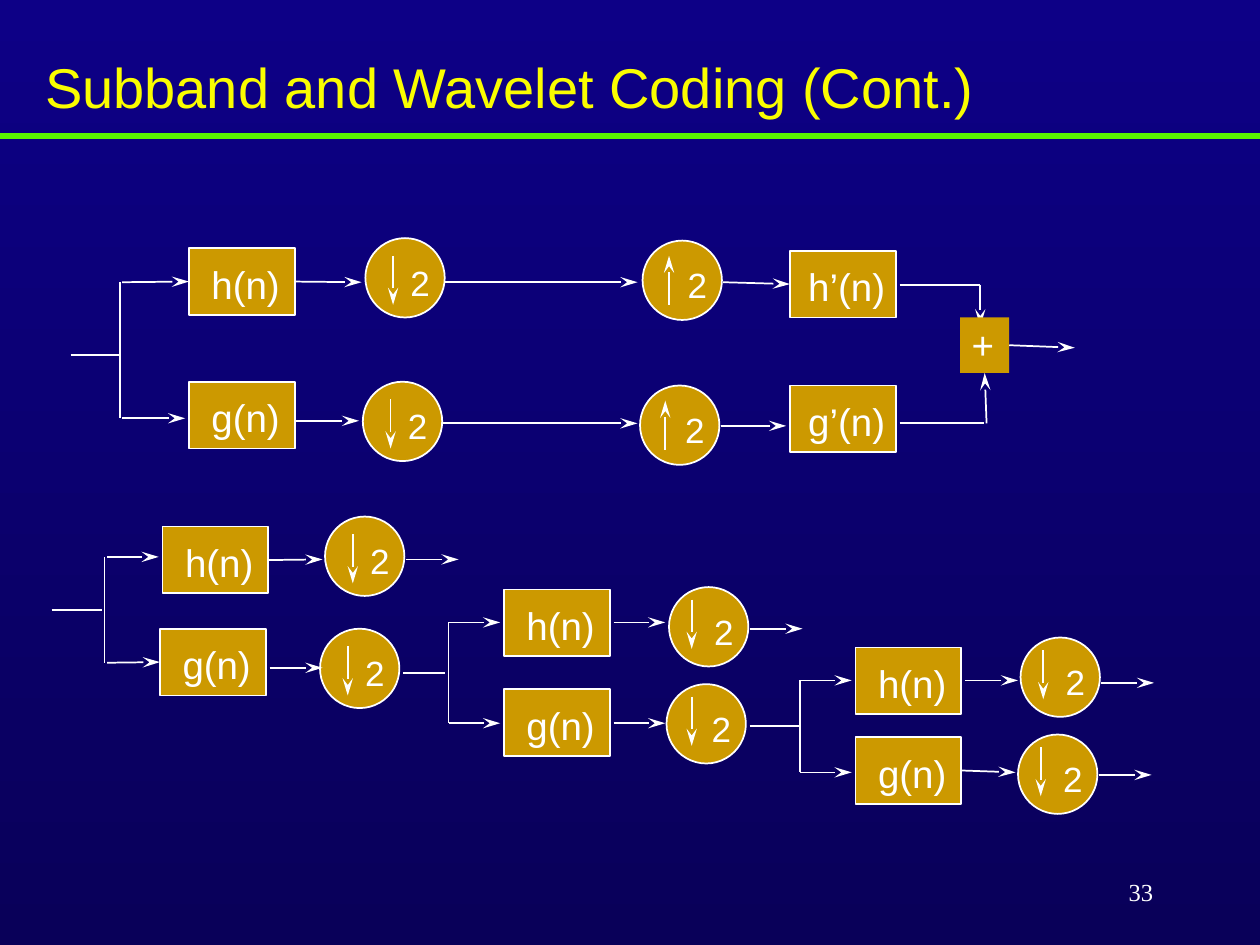
from dataclasses import dataclass
from math import hypot

from lxml import etree
from pptx import Presentation
from pptx.dml.color import RGBColor
from pptx.enum.shapes import MSO_CONNECTOR, MSO_SHAPE
from pptx.enum.text import MSO_ANCHOR, PP_ALIGN
from pptx.oxml.ns import qn
from pptx.util import Cm, Pt

STRAIGHT = MSO_CONNECTOR.STRAIGHT
RECTANGLE, OVAL = MSO_SHAPE.RECTANGLE, MSO_SHAPE.OVAL
TOP, MIDDLE = MSO_ANCHOR.TOP, MSO_ANCHOR.MIDDLE
LEFT, CENTER, RIGHT = PP_ALIGN.LEFT, PP_ALIGN.CENTER, PP_ALIGN.RIGHT

GOLD, WHITE, YELLOW, GREEN = "CC9900", "FFFFFF", "FAFD00", "5AF400"
BACKGROUND = ("0D0086", "090059")
FILTER_SIZE = (0.84, 0.53)
ADDER_SIZE = (0.39, 0.44)
SAMPLER_DIAMETER = 0.63
JOIN_DISTANCE = 0.025


@dataclass
class Block:
    text: str
    x: float
    y: float
    size: tuple = FILTER_SIZE
    outline: bool = True
    insets: tuple = (0.06, 0.1, 0, 0)


@dataclass
class Sampler:
    x: float
    y: float
    arrow_x: float = 0.22
    arrow_y: float = 0.14
    upward: bool = False


@dataclass
class Wire:
    x1: float
    y1: float
    x2: float
    y2: float
    arrow: bool = True
    color: str = WHITE
    width: float = 1


BLOCKS = [
    # Analysis and synthesis bank
    Block("h(n)", 1.5, 1.97), Block("g(n)", 1.5, 3.03),
    Block("h’(n)", 6.27, 1.99), Block("g’(n)", 6.27, 3.06),
    Block("+", 7.62, 2.52, ADDER_SIZE, False, (0, 0.03, 0.03, 0)),
    # Three-level decomposition
    Block("h(n)", 1.29, 4.18), Block("g(n)", 1.27, 4.99),
    Block("h(n)", 4, 4.68), Block("g(n)", 4, 5.47),
    Block("h(n)", 6.79, 5.14), Block("g(n)", 6.79, 5.85),
]

SAMPLERS = [
    Sampler(2.9, 1.89), Sampler(2.88, 3.03),
    Sampler(5.1, 1.91, 0.21, 0.12, True), Sampler(5.08, 3.06, 0.2, 0.12, True),
    Sampler(2.58, 4.1), Sampler(2.54, 4.99),
    Sampler(5.31, 4.66, 0.18, 0.1), Sampler(5.29, 5.43, 0.2, 0.1),
    Sampler(8.1, 5.06, 0.18, 0.1), Sampler(8.08, 5.83, 0.18, 0.1),
]

TITLE_RULE = Wire(0, 1.08, 10, 1.08, False, GREEN, 3)
ADDER_DROP = Wire(7.78, 2.26, 7.78, 2.59)
WIRES = [
    # Analysis and synthesis bank
    Wire(0.56, 2.82, 0.95, 2.82, False), Wire(0.95, 2.24, 0.95, 3.32, False),
    Wire(0.97, 2.24, 1.49, 2.24), Wire(0.97, 3.32, 1.47, 3.32),
    Wire(2.35, 2.24, 2.87, 2.24), Wire(2.35, 3.34, 2.85, 3.34),
    Wire(3.53, 2.24, 5.06, 2.24), Wire(3.51, 3.36, 5.06, 3.36),
    Wire(5.74, 2.24, 6.26, 2.24), Wire(5.72, 3.38, 6.24, 3.38),
    Wire(7.14, 2.26, 7.78, 2.26, False), Wire(7.14, 3.36, 7.81, 3.36, False),
    Wire(7.83, 3.36, 7.83, 2.97), Wire(8.01, 2.76, 8.53, 2.76),
    # First level
    Wire(0.41, 4.84, 0.81, 4.84, False), Wire(0.83, 4.42, 0.83, 5.26, False),
    Wire(0.85, 4.42, 1.26, 4.42), Wire(0.85, 5.26, 1.26, 5.26),
    Wire(2.14, 4.44, 2.56, 4.44), Wire(2.14, 5.3, 2.56, 5.3),
    Wire(3.22, 4.44, 3.64, 4.44),
    # Second level
    Wire(3.2, 5.34, 3.53, 5.34, False), Wire(3.56, 4.94, 3.56, 5.74, False),
    Wire(3.56, 4.94, 3.97, 4.94), Wire(3.56, 5.74, 3.97, 5.74),
    Wire(4.87, 4.94, 5.28, 4.94), Wire(4.87, 5.74, 5.28, 5.74),
    Wire(5.95, 4.99, 6.37, 4.99),
    # Third level
    Wire(5.95, 5.76, 6.35, 5.76, False), Wire(6.35, 5.4, 6.35, 6.13, False),
    Wire(6.35, 5.4, 6.76, 5.4), Wire(6.35, 6.13, 6.76, 6.13),
    Wire(7.66, 5.4, 8.08, 5.4), Wire(7.64, 6.13, 8.06, 6.13),
    Wire(8.74, 5.42, 9.16, 5.42), Wire(8.72, 6.15, 9.14, 6.15),
]


def length(inches: float) -> Cm:
    """Convert a slide coordinate in inches to a length."""
    return Cm(inches * 2.54)


def color(hex_value: str) -> RGBColor:
    return RGBColor.from_string(hex_value)


def set_text(shape, text: str, size: float, insets=(0.1, 0.05, 0.1, 0.05),
             anchor=TOP, alignment=CENTER, font="Arial", text_color=WHITE):
    frame = shape.text_frame
    frame.word_wrap = True
    frame.vertical_anchor = anchor
    (frame.margin_left, frame.margin_top,
     frame.margin_right, frame.margin_bottom) = map(length, insets)
    paragraph = frame.paragraphs[0]
    paragraph.text = text
    paragraph.alignment = alignment
    paragraph.font.name = font
    paragraph.font.size = Pt(size)
    paragraph.font.color.rgb = color(text_color)
    return paragraph


def add_gold_shape(slide, kind, x: float, y: float, width: float,
                   height: float, outline: bool = True):
    shape = slide.shapes.add_shape(kind, *map(length, (x, y, width, height)))
    shape.shadow.inherit = False
    shape.fill.solid()
    shape.fill.fore_color.rgb = color(GOLD)
    if outline:
        shape.line.color.rgb = color(WHITE)
        shape.line.width = Pt(1)
    else:
        shape.line.fill.background()
    return shape


def draw_wire(slide, wire: Wire):
    ends = map(length, (wire.x1, wire.y1, wire.x2, wire.y2))
    connector = slide.shapes.add_connector(STRAIGHT, *ends)
    connector.line.color.rgb = color(wire.color)
    connector.line.width = Pt(wire.width)
    properties = connector._element.spPr
    if wire.arrow:
        etree.SubElement(properties.find(qn("a:ln")), qn("a:tailEnd"),
                         type="stealth", w="med", len="lg")
    etree.SubElement(properties, qn("a:effectLst"))
    return connector


def draw_block(slide, block: Block):
    shape = add_gold_shape(slide, RECTANGLE, block.x, block.y, *block.size,
                           outline=block.outline)
    set_text(shape, block.text, 22, block.insets)
    return shape


def draw_sampler(slide, sampler: Sampler) -> None:
    shape = add_gold_shape(slide, OVAL, sampler.x, sampler.y,
                           SAMPLER_DIAMETER, SAMPLER_DIAMETER)
    set_text(shape, "2", 20, (0.24, 0.09, 0, 0))
    x = sampler.x + sampler.arrow_x
    start = sampler.y + sampler.arrow_y
    end = start + 0.39
    if sampler.upward:
        start, end = end, start
    draw_wire(slide, Wire(x, start, x, end))


def side_middles(block: Block) -> list[tuple[float, float]]:
    """Return the side middles in connection-site order."""
    width, height = block.size
    middle_x, middle_y = block.x + width / 2, block.y + height / 2
    return [(middle_x, block.y), (block.x, middle_y),
            (middle_x, block.y + height), (block.x + width, middle_y)]


def join_wire(connector, wire: Wire, shapes: list) -> None:
    """Join each wire end to the block side whose middle it meets."""
    for block, shape in zip(BLOCKS, shapes):
        for site, (x, y) in enumerate(side_middles(block)):
            if hypot(wire.x1 - x, wire.y1 - y) < JOIN_DISTANCE:
                connector.begin_connect(shape, site)
            if hypot(wire.x2 - x, wire.y2 - y) < JOIN_DISTANCE:
                connector.end_connect(shape, site)


def main() -> None:
    presentation = Presentation()
    presentation.slide_width, presentation.slide_height = length(10), length(7.5)
    slide = presentation.slides.add_slide(presentation.slide_layouts[6])

    fill = slide.background.fill
    fill.gradient()
    fill.gradient_angle = 270
    for stop, hex_value in zip(fill.gradient_stops, BACKGROUND):
        stop.color.rgb = color(hex_value)

    draw_wire(slide, TITLE_RULE)
    title = slide.shapes.add_textbox(*map(length, (0.26, 0.44, 9.04, 0.55)))
    set_text(title, "Subband and Wavelet Coding (Cont.)", 32, anchor=MIDDLE,
             alignment=LEFT, text_color=YELLOW).line_spacing = 0.9

    draw_wire(slide, ADDER_DROP)
    block_shapes = [draw_block(slide, block) for block in BLOCKS]
    for sampler in SAMPLERS:
        draw_sampler(slide, sampler)
    for wire in WIRES:
        join_wire(draw_wire(slide, wire), wire, block_shapes)

    number = slide.shapes.add_textbox(*map(length, (7.17, 6.83, 2.08, 0.5)))
    set_text(number, "33", 14, anchor=MIDDLE, alignment=RIGHT,
             font="Times New Roman")
    presentation.save("out.pptx")


if __name__ == "__main__":
    main()
